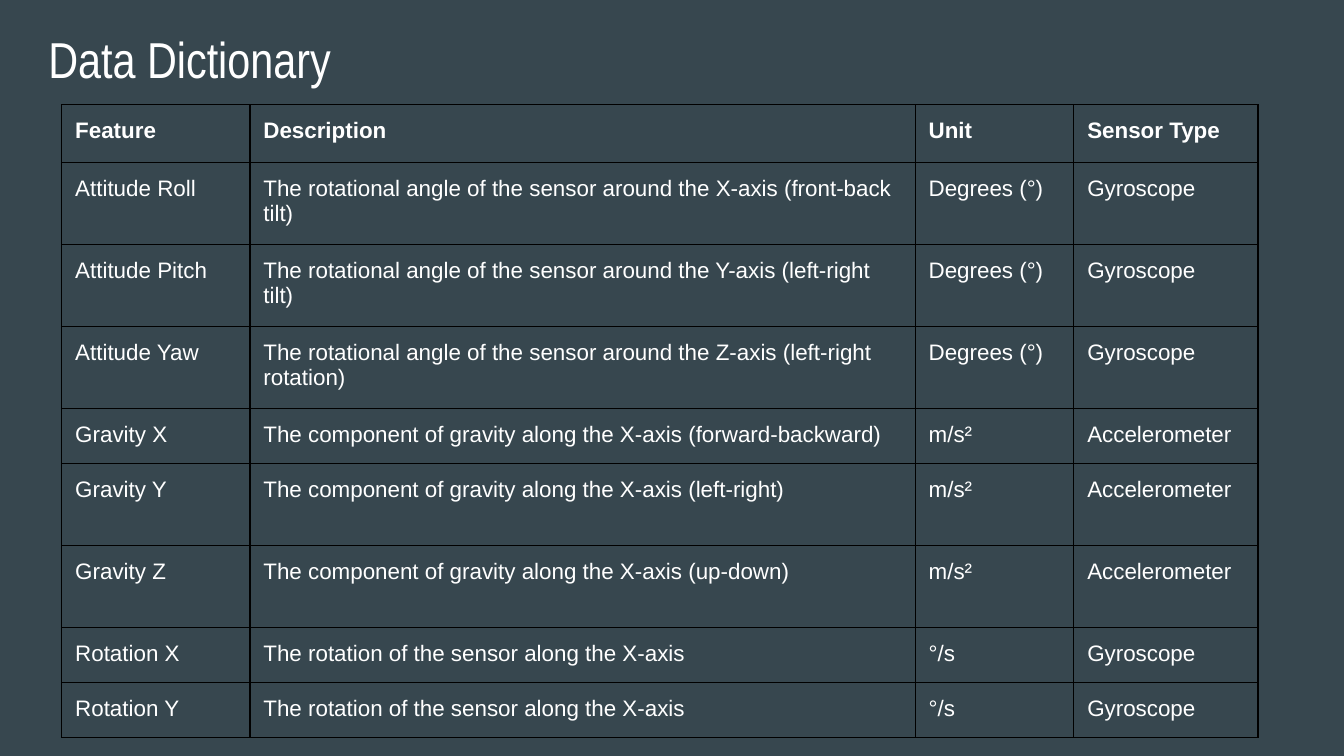
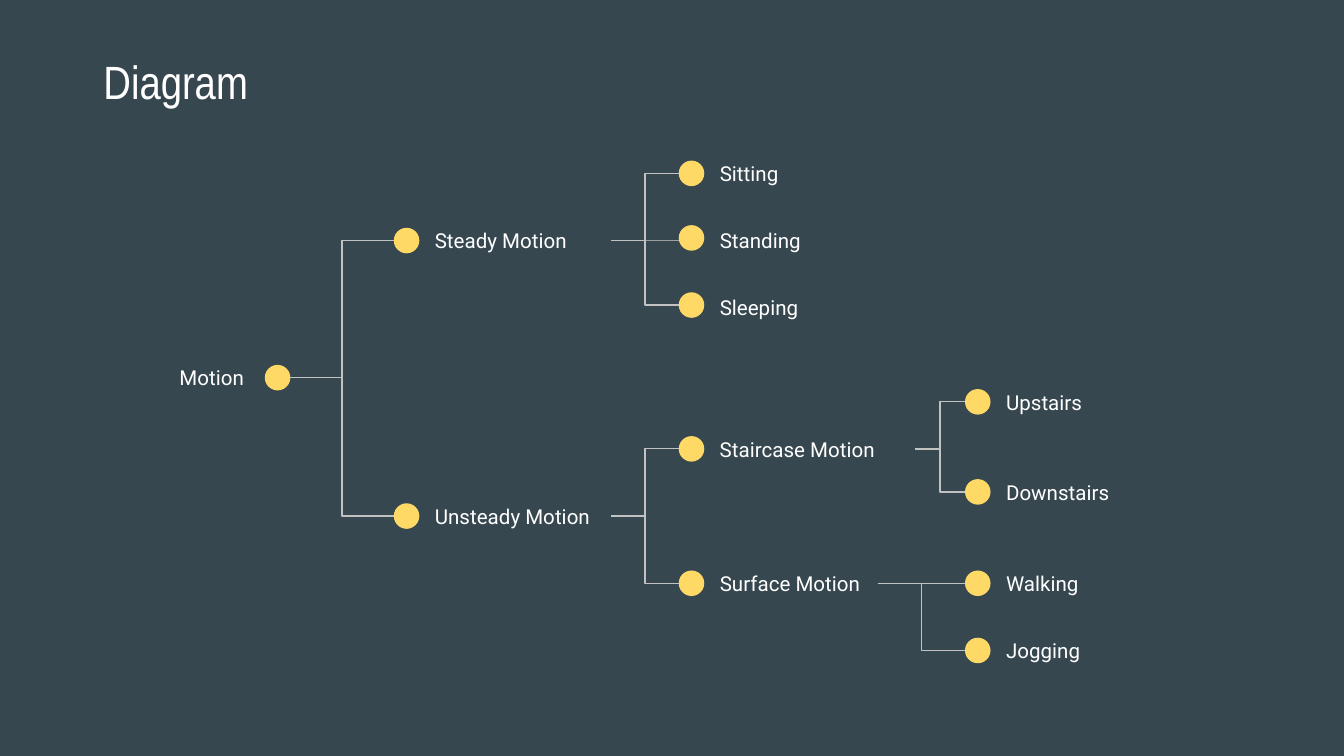
from typing import NamedTuple

from lxml import etree
from pptx import Presentation
from pptx.dml.color import RGBColor
from pptx.enum.shapes import MSO_CONNECTOR, MSO_SHAPE
from pptx.enum.text import MSO_ANCHOR, MSO_AUTO_SIZE, PP_ALIGN
from pptx.oxml.ns import qn
from pptx.util import Inches, Pt

LEFT, RIGHT = PP_ALIGN.LEFT, PP_ALIGN.RIGHT
TOP, MIDDLE = MSO_ANCHOR.TOP, MSO_ANCHOR.MIDDLE
FIXED = MSO_AUTO_SIZE.NONE
ELBOW, STRAIGHT = MSO_CONNECTOR.ELBOW, MSO_CONNECTOR.STRAIGHT
OVAL, ROUND = MSO_SHAPE.OVAL, MSO_SHAPE.ROUNDED_RECTANGLE

COLORS = {
    "back": "37474F",
    "text": "FFFFFF",
    "dot": "FFD966",
    "link": "C2C2C2",
    "short": "9E9E9E",
    "grid": "000000",
}
WIDE = Inches(10)
RULE = Pt(0.75)
DOT = 0.19
TALL = 0.35

COLS = (1.4, 4.95, 1.18, 1.37)
HIGH, LOW = 0.61, 0.41
HEAD = ("Feature", "Description", "Unit", "Sensor Type")
ANGLE = "The rotational angle of the sensor around the "
PULL = "The component of gravity along the X-axis "
SPIN = "The rotation of the sensor along the X-axis"


class Row(NamedTuple):
    height: float
    cells: tuple[str, ...]


ROWS = (
    Row(0.43, HEAD),
    Row(HIGH, ("Attitude Roll", ANGLE + "X-axis (front-back tilt)", "Degrees (°)", "Gyroscope")),
    Row(HIGH, ("Attitude Pitch", ANGLE + "Y-axis (left-right tilt)", "Degrees (°)", "Gyroscope")),
    Row(HIGH, ("Attitude Yaw", ANGLE + "Z-axis (left-right rotation)", "Degrees (°)", "Gyroscope")),
    Row(LOW, ("Gravity X", PULL + "(forward-backward)", "m/s²", "Accelerometer")),
    Row(HIGH, ("Gravity Y", PULL + "(left-right)", "m/s²", "Accelerometer")),
    Row(HIGH, ("Gravity Z", PULL + "(up-down)", "m/s²", "Accelerometer")),
    Row(LOW, ("Rotation X", SPIN, "°/s", "Gyroscope")),
    Row(LOW, ("Rotation Y", SPIN, "°/s", "Gyroscope")),
)


class Node(NamedTuple):
    text: str
    left: float
    mid: float
    parent: str = ""
    width: float = 1.29
    lift: float = 0  # how far the dot sits above the label's middle
    kind: int = ELBOW

    @property
    def exit(self) -> float:
        """Where links to the children start."""
        return self.left + DOT + (self.width if self.parent else 0)


SECOND, THIRD, FOURTH = 2.93, 5.05, 7.18
NODES = (
    Node("Motion ", 1.97, 2.81),
    Node("Steady Motion", SECOND, 1.79, "Motion ", 1.43),
    Node("Unsteady Motion", SECOND, 3.84, "Motion ", 1.43),
    Node("Sitting", THIRD, 1.29, "Steady Motion"),
    Node("Standing", THIRD, 1.79, "Steady Motion", lift=0.02, kind=STRAIGHT),
    Node("Sleeping", THIRD, 2.29, "Steady Motion", lift=0.02),
    Node("Staircase Motion", THIRD, 3.34, "Unsteady Motion", 1.57),
    Node("Surface Motion", THIRD, 4.34, "Unsteady Motion"),
    Node("Upstairs", FOURTH, 2.99, "Staircase Motion"),
    Node("Downstairs", FOURTH, 3.66, "Staircase Motion"),
    Node("Walking", FOURTH, 4.34, "Surface Motion"),
    Node("Jogging", FOURTH, 4.84, "Surface Motion"),
)


def color(name: str) -> RGBColor:
    return RGBColor.from_string(COLORS[name])


def pad(box) -> None:
    """Set equal margins on a text frame or a table cell."""
    box.margin_left = box.margin_right = Inches(0.1)
    box.margin_top = box.margin_bottom = Inches(0.1)


def write(frame, text: str, *, font: str, size: float, bold: bool = False, align=LEFT) -> None:
    para = frame.paragraphs[0]
    para.alignment = align
    run = para.add_run()
    run.text = text
    run.font.name = font
    run.font.size = Pt(size)
    run.font.bold = bold
    run.font.color.rgb = color("text")


def add_page(deck, title: str, place: tuple[float, ...], size: float):
    page = deck.slides.add_slide(deck.slide_layouts[5])
    head = page.shapes.title
    head.left, head.top, head.width, head.height = map(Inches, place)
    frame = head.text_frame
    frame.auto_size = FIXED
    frame.word_wrap = True
    frame.vertical_anchor = TOP
    pad(frame)
    write(frame, title, font="Arial Narrow", size=size)
    return page


def edge(cell) -> None:
    """Draw the four borders of a cell."""
    props = cell._tc.get_or_add_tcPr()
    for side in ("a:lnL", "a:lnR", "a:lnT", "a:lnB"):
        line = etree.SubElement(props, qn(side), w=str(RULE))
        fill = etree.SubElement(line, qn("a:solidFill"))
        etree.SubElement(fill, qn("a:srgbClr"), val=COLORS["grid"])


def add_grid(page) -> None:
    high = sum(row.height for row in ROWS)
    grid = page.shapes.add_table(
        len(ROWS), len(COLS), Inches(0.46), Inches(0.78), Inches(sum(COLS)), Inches(high)
    ).table
    grid.horz_banding = False
    grid.first_row = False
    for col, width in zip(grid.columns, COLS):
        col.width = Inches(width)
    for line, row in zip(grid.rows, ROWS):
        line.height = Inches(row.height)
        for cell, text in zip(line.cells, row.cells):
            edge(cell)
            cell.fill.background()
            pad(cell)
            write(cell.text_frame, text, font="Arial", size=12, bold=row.cells is HEAD)


def add_link(page, kind: int, start: tuple[float, float], end: tuple[float, float], tone: str) -> None:
    link = page.shapes.add_connector(kind, *map(Inches, start + end))
    link.line.color.rgb = color(tone)
    link.line.width = RULE
    etree.SubElement(link._element.spPr, qn("a:effectLst"))


def add_shape(group, kind: int, left: float, mid: float, width: float, height: float):
    shape = group.shapes.add_shape(
        kind, Inches(left), Inches(mid - height / 2), Inches(width), Inches(height)
    )
    shape.shadow.inherit = False
    shape.fill.background()
    shape.line.fill.background()
    return shape


def add_node(page, node: Node) -> None:
    group = page.shapes.add_group_shape()
    left = node.left + DOT if node.parent else node.left - node.width
    label = add_shape(group, ROUND, left, node.mid, node.width, TALL)
    frame = label.text_frame
    frame.word_wrap = True
    frame.vertical_anchor = MIDDLE
    pad(frame)
    write(frame, node.text, font="Roboto", size=11, align=LEFT if node.parent else RIGHT)
    dot = add_shape(group, OVAL, node.left, node.mid - node.lift, DOT, DOT)
    dot.fill.solid()
    dot.fill.fore_color.rgb = color("dot")


def add_tree(page) -> None:
    named = {node.text: node for node in NODES}
    for node in NODES:
        if not node.parent:
            continue
        parent = named[node.parent]
        if node.kind == STRAIGHT:
            half = (parent.exit + node.left) / 2
            add_link(page, STRAIGHT, (node.left, node.mid), (half, parent.mid), "short")
        else:
            end = (node.left, node.mid - node.lift)
            add_link(page, ELBOW, (parent.exit, parent.mid), end, "link")
    for node in NODES:
        add_node(page, node)


def main() -> None:
    deck = Presentation()
    deck.slide_width, deck.slide_height = WIDE, WIDE * 9 // 16
    back = deck.slide_master.background.fill
    back.solid()
    back.fore_color.rgb = color("back")
    add_grid(add_page(deck, "Data Dictionary", (0.26, 0.11, 9.32, 0.63), 27))
    add_tree(add_page(deck, "Diagram", (0.67, 0.29, 6.68, 0.62), 25))
    deck.save("out.pptx")


if __name__ == "__main__":
    main()
